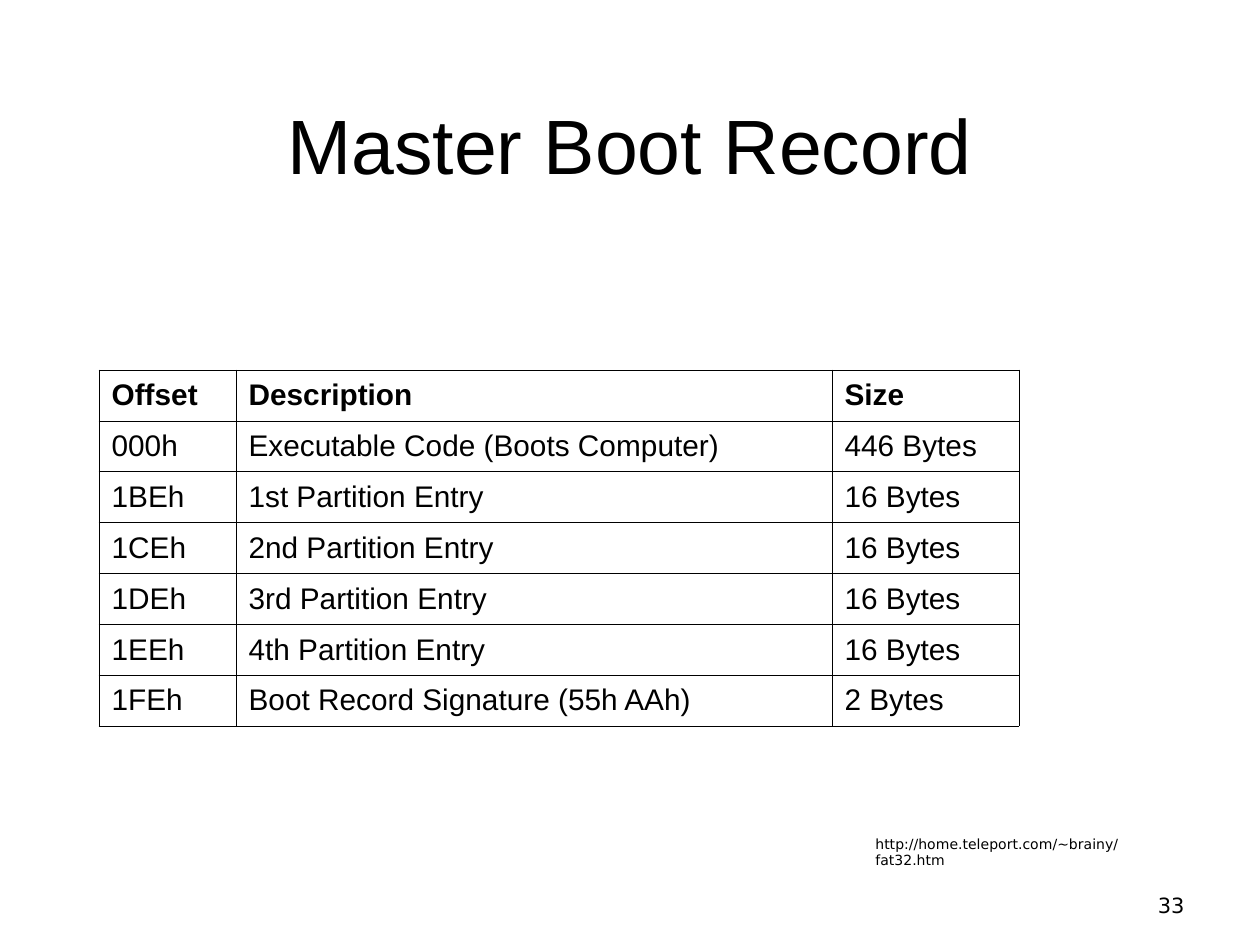
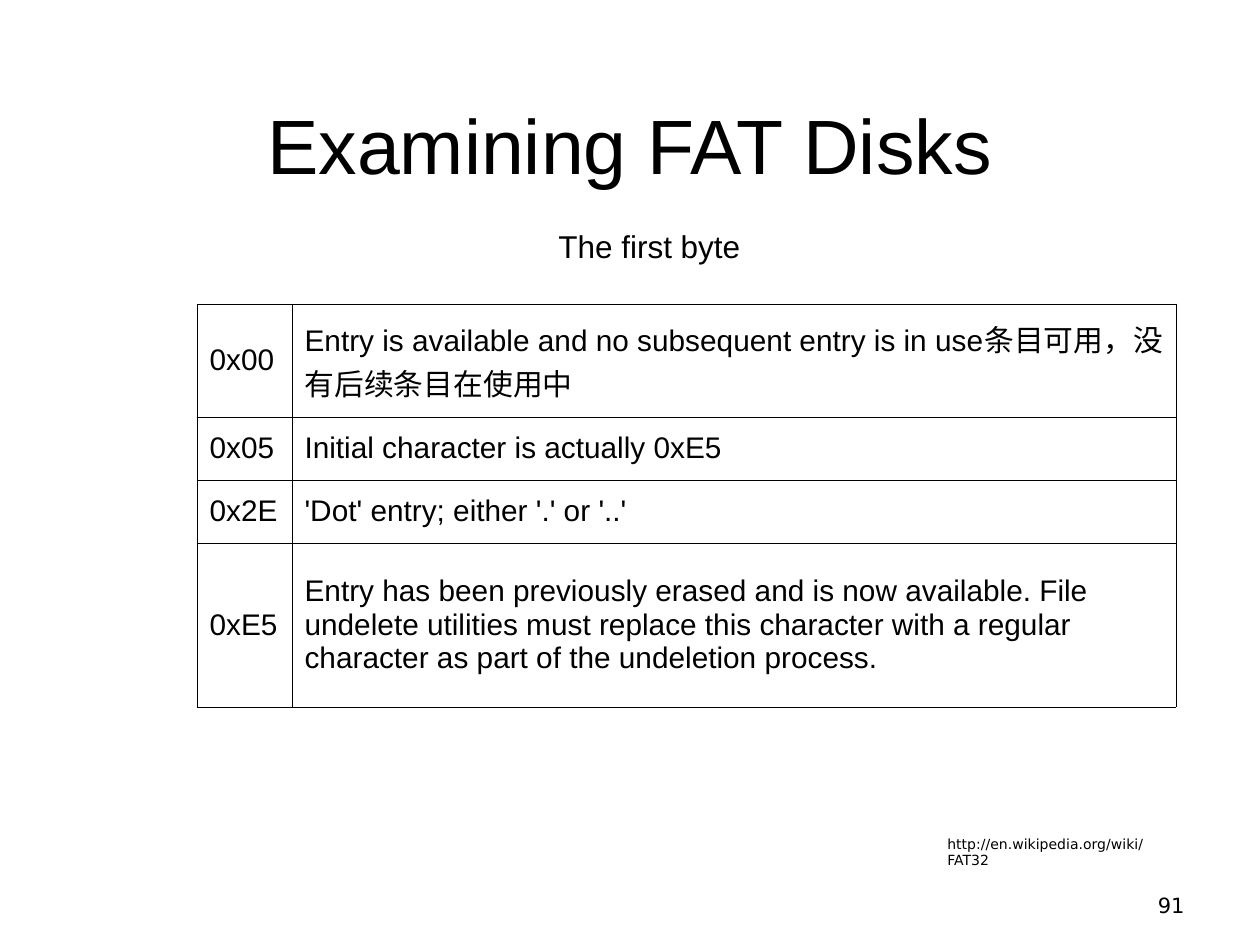
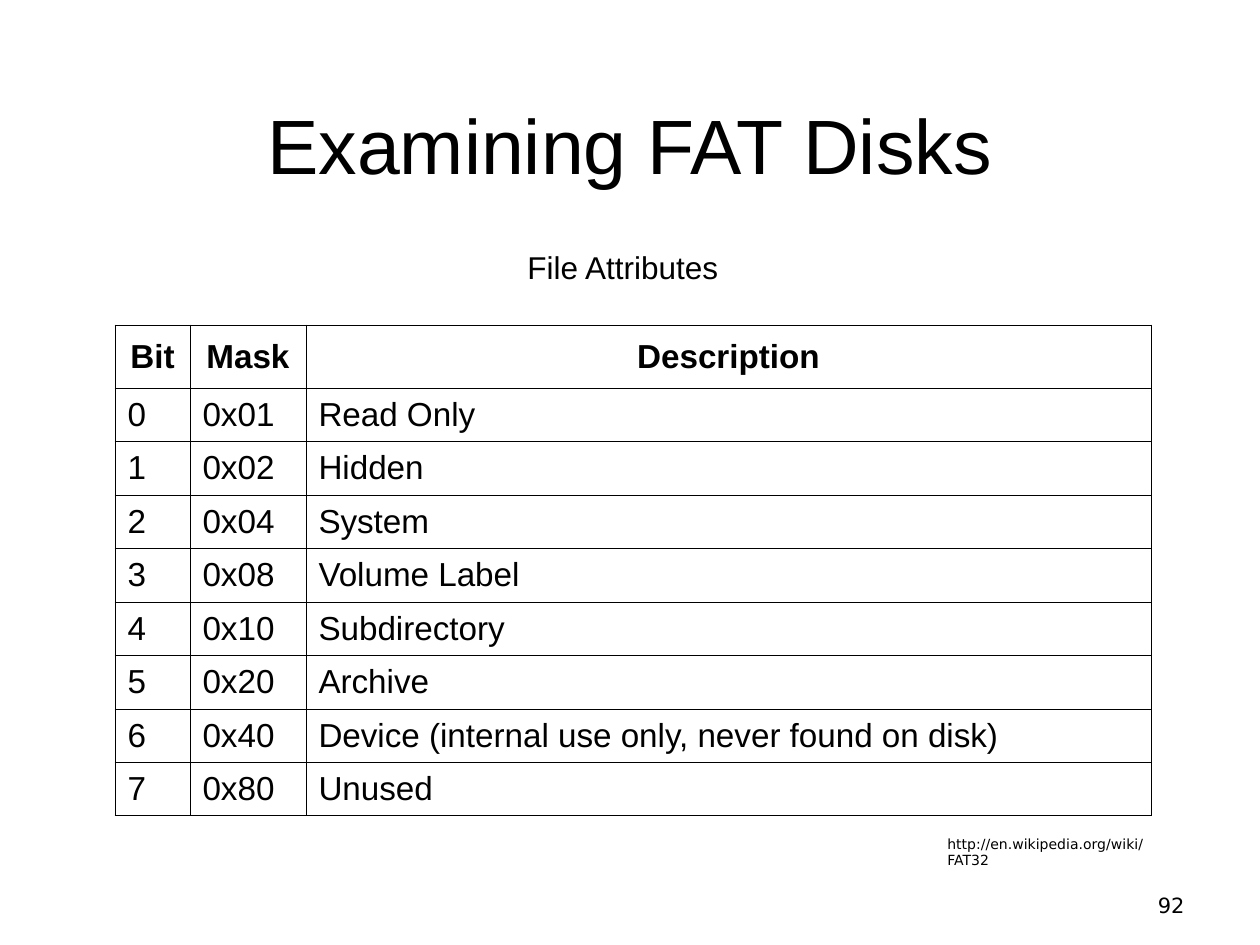
"""Build three slides of reference tables on the boot record and FAT directory entries."""
import pptx
import pptx.dml.color
import pptx.enum.text
import pptx.oxml
import pptx.oxml.ns
import pptx.util

ALIGN = pptx.enum.text.PP_ALIGN
ANCHOR = pptx.enum.text.MSO_ANCHOR
COLOURS = {"ink": "000000", "paper": "FFFFFF"}
BODY_FONT, NOTE_FONT = "Arial", "DejaVu Sans"
EMU_PER_PX = 914400 / 126
SLIDE_SIZE = (1260, 945)
TITLE_BOX = (63, 38, 1134, 158)
NUMBER_BOX = (903, 861, 294, 63)
BORDER_PT = 0.45

FAT_SOURCE = ("http://en.wikipedia.org/wiki/FAT32", (935, 829, 253, 30))

SLIDES = [
    {
        "title": "Master Boot Record",
        "number": "33",
        "source": ("http://home.teleport.com/~brainy/fat32.htm", (863, 829, 319, 30)),
        "table": {
            "at": (99, 370), "height": 356, "columns": [137, 596, 187], "fixed_rows": [],
            "size": 17, "header": ALIGN.LEFT,
            "rows": [
                ("Offset", "Description", "Size"),
                ("000h", "Executable Code (Boots Computer)", "446 Bytes"),
                ("1BEh", "1st Partition Entry", "16 Bytes"),
                ("1CEh", "2nd Partition Entry", "16 Bytes"),
                ("1DEh", "3rd Partition Entry", "16 Bytes"),
                ("1EEh", "4th Partition Entry", "16 Bytes"),
                ("1FEh", "Boot Record Signature (55h AAh)", "2 Bytes"),
            ],
        },
    },
    {
        "title": "Examining FAT Disks",
        "number": "91",
        "source": FAT_SOURCE,
        "caption": ("The first byte", (546, 221, 216, 50)),
        "table": {
            "at": (197, 304), "height": 403, "columns": [95, 884],
            "fixed_rows": [113, 63, 63], "size": 17, "header": None,
            "rows": [
                ("0x00", "Entry is available and no subsequent entry is in use"
                         "条目可用，没有后续条目在使用中"),
                ("0x05", "Initial character is actually 0xE5"),
                ("0x2E", "'Dot' entry; either '.' or '..'"),
                ("0xE5", "Entry has been previously erased and is now available. "
                         "File undelete utilities must replace this character with a "
                         "regular character as part of the undeletion process."),
            ],
        },
    },
    {
        "title": "Examining FAT Disks",
        "number": "92",
        "source": FAT_SOURCE,
        "caption": ("File Attributes", (515, 242, 218, 50)),
        "table": {
            "at": (115, 325), "height": 491, "columns": [75, 116, 845],
            "fixed_rows": [63], "size": 19, "header": ALIGN.CENTER,
            "rows": [
                ("Bit", "Mask", "Description"),
                ("0", "0x01", "Read Only"),
                ("1", "0x02", "Hidden"),
                ("2", "0x04", "System"),
                ("3", "0x08", "Volume Label"),
                ("4", "0x10", "Subdirectory"),
                ("5", "0x20", "Archive"),
                ("6", "0x40", "Device (internal use only, never found on disk)"),
                ("7", "0x80", "Unused"),
            ],
        },
    },
]


def px(length):
    return pptx.util.Emu(round(length * EMU_PER_PX))


def write(frame, text, size, font=BODY_FONT, align=ALIGN.LEFT, bold=False):
    paragraph = frame.paragraphs[0]
    paragraph.alignment = align
    run = paragraph.add_run()
    run.text = text
    run.font.size = pptx.util.Pt(size)
    run.font.name = font
    run.font.bold = bold
    run.font.color.rgb = pptx.dml.color.RGBColor.from_string(COLOURS["ink"])


def add_text(slide, text, box, size, font=BODY_FONT, align=ALIGN.LEFT, anchor=ANCHOR.TOP):
    frame = slide.shapes.add_textbox(*map(px, box)).text_frame
    frame.word_wrap = True
    frame.vertical_anchor = anchor
    write(frame, text, size, font, align)


def outline(cell):
    properties = cell._tc.get_or_add_tcPr()
    width = pptx.util.Pt(BORDER_PT)
    for side in "LRTB":
        properties.append(pptx.oxml.parse_xml(
            f'<a:ln{side} {pptx.oxml.ns.nsdecls("a")} w="{width}"><a:solidFill>'
            f'<a:srgbClr val="{COLOURS["ink"]}"/></a:solidFill></a:ln{side}>'))


def add_grid(slide, content):
    rows, columns, fixed = content["rows"], content["columns"], content["fixed_rows"]
    shared = len(rows) - len(fixed)
    heights = fixed + [(content["height"] - sum(fixed)) / shared] * shared
    box = (*content["at"], sum(columns), content["height"])
    grid = slide.shapes.add_table(len(rows), len(columns), *map(px, box)).table
    grid.first_row = grid.horz_banding = False
    for column, width in zip(grid.columns, columns):
        column.width = px(width)
    for row_index, (row, height) in enumerate(zip(rows, heights)):
        grid.rows[row_index].height = px(height)
        is_header = row_index == 0 and content["header"] is not None
        align = content["header"] if is_header else ALIGN.LEFT
        for column_index, text in enumerate(row):
            cell = grid.cell(row_index, column_index)
            cell.vertical_anchor = ANCHOR.MIDDLE
            outline(cell)
            cell.fill.background()
            write(cell.text_frame, text, content["size"], align=align, bold=is_header)


def build_slide(deck, content):
    slide = deck.slides.add_slide(deck.slide_layouts[6])
    slide.background.fill.solid()
    slide.background.fill.fore_color.rgb = pptx.dml.color.RGBColor.from_string(COLOURS["paper"])
    add_text(slide, content["number"], NUMBER_BOX, 12, NOTE_FONT, ALIGN.RIGHT, ANCHOR.BOTTOM)
    add_text(slide, content["title"], TITLE_BOX, 44, align=ALIGN.CENTER, anchor=ANCHOR.BOTTOM)
    add_text(slide, *content["source"], 8, NOTE_FONT)
    add_grid(slide, content["table"])
    if "caption" in content:
        add_text(slide, *content["caption"], 18)


def main():
    deck = pptx.Presentation()
    deck.slide_width, deck.slide_height = map(px, SLIDE_SIZE)
    for content in SLIDES:
        build_slide(deck, content)
    deck.save("out.pptx")


if __name__ == "__main__":
    main()
